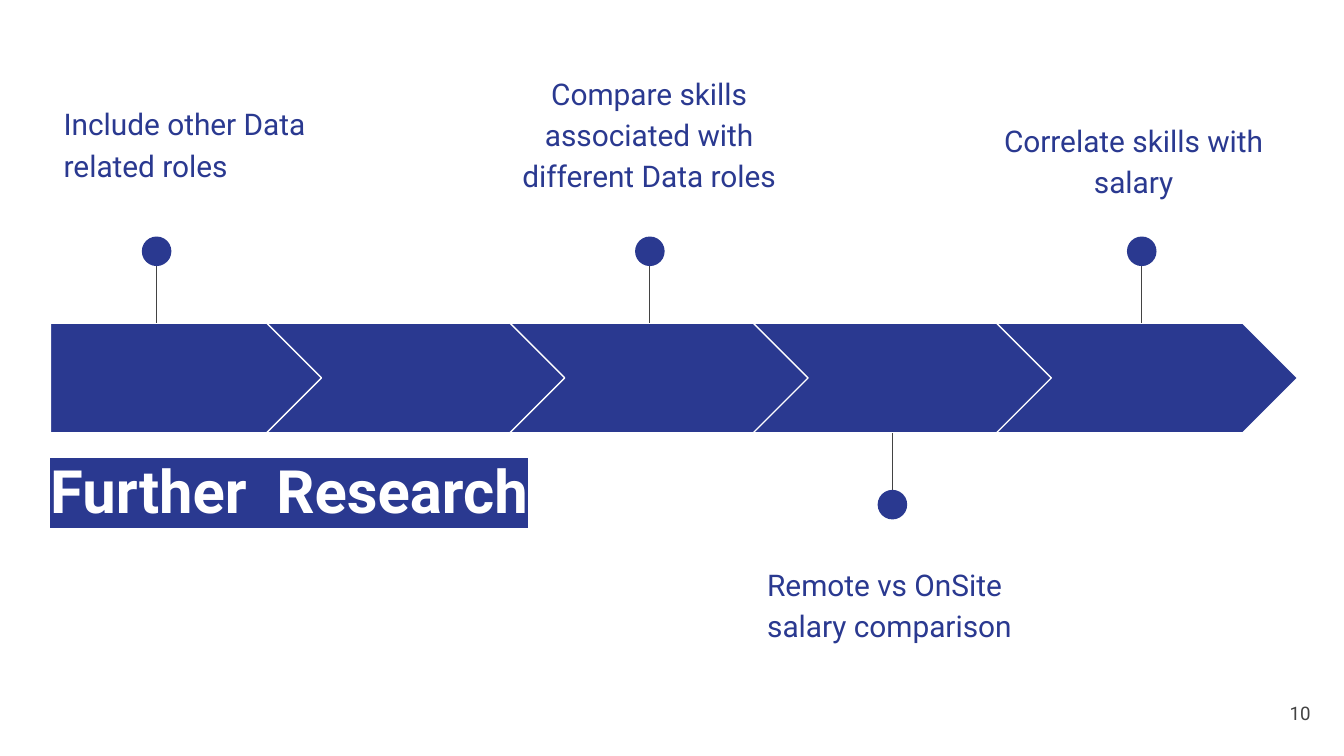
from dataclasses import dataclass

from lxml import etree
from pptx import Presentation
from pptx.dml.color import RGBColor
from pptx.enum import shapes, text
from pptx.oxml.ns import qn
from pptx.util import Emu, Pt

PX = 4572  # 200 px to the inch
SLIDE_WIDTH, SLIDE_HEIGHT = 2000, 1125
BLUE, GREY, WHITE = "2A3990", "434343", "FFFFFF"
FONT = "Roboto"
LEFT, CENTER, RIGHT = text.PP_ALIGN.LEFT, text.PP_ALIGN.CENTER, text.PP_ALIGN.RIGHT

# Arrow band
BAND_TOP, BAND_HEIGHT = 481, 163
START_LEFT, START_WIDTH = 75, 409
CHEVRON_LEFT, CHEVRON_WIDTH, CHEVRON_STEP, CHEVRON_COUNT = 397, 448, 362, 4

# Milestone pins
DOT = 44
STEM = 121
DOT_TOP_ABOVE, DOT_TOP_BELOW = 352, 729
LABEL_WIDTH, LABEL_HEIGHT = 490, 198


@dataclass(frozen=True)
class Milestone:
    label: str
    pin_x: int
    label_left: int
    label_top: int
    align: text.PP_ALIGN
    above: bool = True
    space_after: int = 16


MILESTONES = [
    Milestone("Include other Data related roles", 233, 75, 130, LEFT),
    Milestone("Compare skills associated with different Data roles", 967, 721, 84, CENTER),
    Milestone("Remote vs OnSite salary comparison", 1328, 1122, 815, LEFT, above=False),
    Milestone("Correlate skills with salary", 1699, 1442, 154, CENTER, space_after=0),
]


def px(length: int) -> Emu:
    return Emu(length * PX)


def color(value: str) -> RGBColor:
    return RGBColor.from_string(value)


def add_solid(slide, kind, left: int, top: int, width: int, height: int, outline: str | None = None):
    solid = slide.shapes.add_shape(kind, px(left), px(top), px(width), px(height))
    solid.shadow.inherit = False
    solid.fill.solid()
    solid.fill.fore_color.rgb = color(BLUE)
    if outline:
        solid.line.color.rgb = color(outline)
        solid.line.width = Pt(0.75)
    else:
        solid.line.fill.background()
    return solid


def add_text(slide, words: str, left: int, top: int, width: int, height: int,
             size: int, ink: str, align=LEFT):
    frame = slide.shapes.add_textbox(px(left), px(top), px(width), px(height)).text_frame
    frame.word_wrap = True
    frame.margin_left = frame.margin_right = frame.margin_top = frame.margin_bottom = px(20)
    paragraph = frame.paragraphs[0]
    paragraph.text = words
    paragraph.alignment = align
    paragraph.font.name = FONT
    paragraph.font.size = Pt(size)
    paragraph.font.color.rgb = color(ink)
    return frame


def add_stem(slide, x: int, start: int, end: int) -> None:
    stem = slide.shapes.add_connector(shapes.MSO_CONNECTOR.STRAIGHT, px(x), px(start), px(x), px(end))
    stem.line.color.rgb = color(GREY)
    stem.line.width = Pt(0.75)
    etree.SubElement(stem._element.spPr, qn("a:effectLst"))


def add_milestone(slide, milestone: Milestone) -> None:
    if milestone.above:
        base, start, dot_top = BAND_TOP, BAND_TOP - STEM, DOT_TOP_ABOVE
    else:
        base = BAND_TOP + BAND_HEIGHT
        start, dot_top = base + STEM, DOT_TOP_BELOW
    add_stem(slide, milestone.pin_x, start, base)
    add_solid(slide, shapes.MSO_SHAPE.OVAL, milestone.pin_x - DOT // 2, dot_top, DOT, DOT)
    label = add_text(slide, milestone.label, milestone.label_left, milestone.label_top,
                     LABEL_WIDTH, LABEL_HEIGHT, 16, BLUE, milestone.align).paragraphs[0]
    label.line_spacing = 1.15
    label.space_after = Pt(milestone.space_after)


def highlight(run, ink: str, marker: str) -> None:
    run.font.color.rgb = color(ink)
    mark = etree.Element(qn("a:highlight"))
    etree.SubElement(mark, qn("a:srgbClr")).set("val", marker)
    run.font._element.find(qn("a:solidFill")).addnext(mark)


def main() -> None:
    deck = Presentation()
    deck.slide_width, deck.slide_height = px(SLIDE_WIDTH), px(SLIDE_HEIGHT)
    slide = deck.slides.add_slide(deck.slide_layouts[6])

    # Arrow band
    add_solid(slide, shapes.MSO_SHAPE.PENTAGON, START_LEFT, BAND_TOP, START_WIDTH, BAND_HEIGHT, WHITE)
    for step in range(CHEVRON_COUNT):
        add_solid(slide, shapes.MSO_SHAPE.CHEVRON, CHEVRON_LEFT + step * CHEVRON_STEP, BAND_TOP,
                  CHEVRON_WIDTH, BAND_HEIGHT, WHITE)

    # Milestones
    for milestone in MILESTONES:
        add_milestone(slide, milestone)

    # Title
    title = add_text(slide, "Further  Research", 55, 655, 766, 160, 32, WHITE).paragraphs[0]
    title.font.bold = True
    highlight(title.runs[0], WHITE, BLUE)

    # Slide number
    number = add_text(slide, "10", 1850, 1018, 120, 86, 10, GREY, RIGHT)
    number.vertical_anchor = text.MSO_ANCHOR.MIDDLE

    deck.save("out.pptx")


if __name__ == "__main__":
    main()
